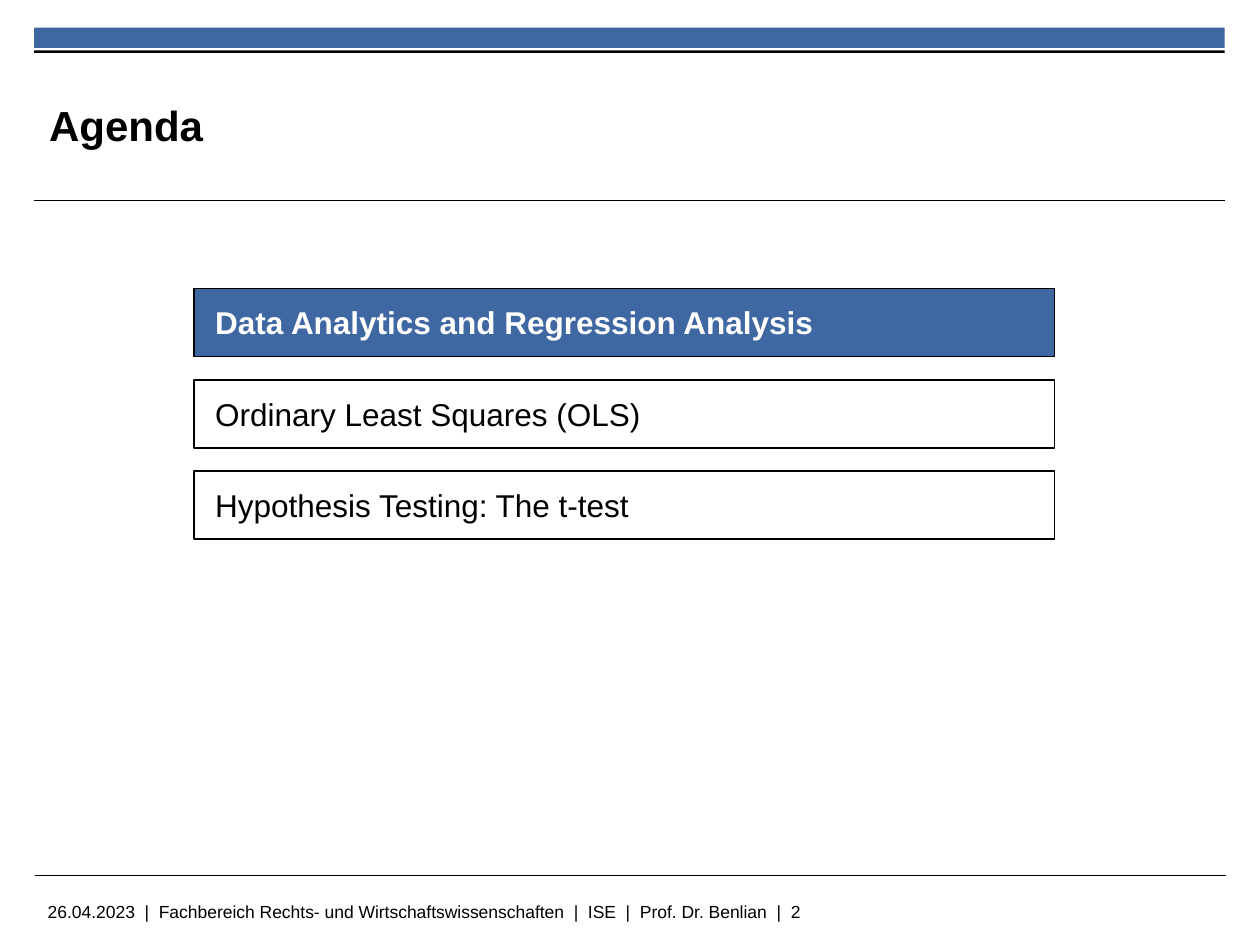
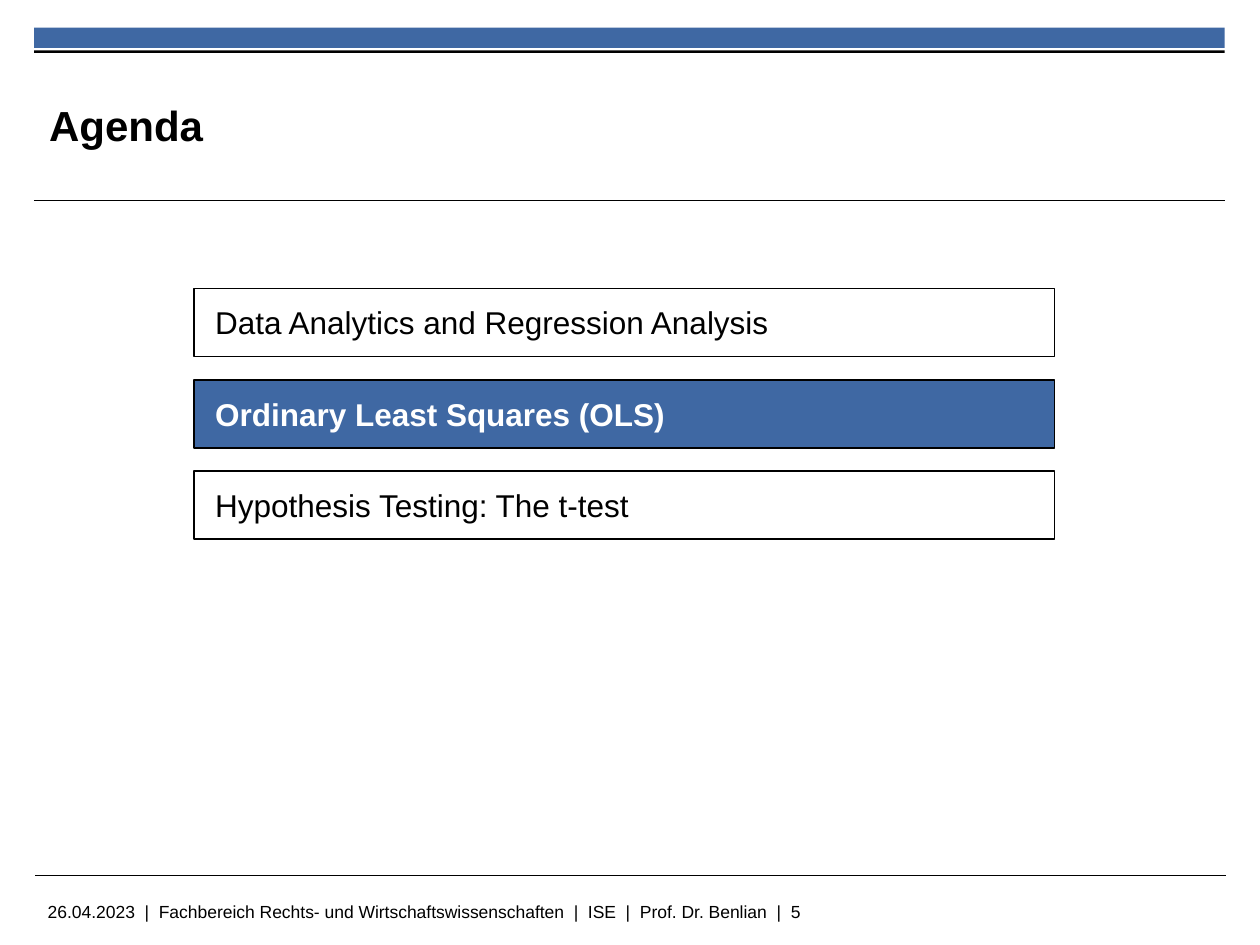
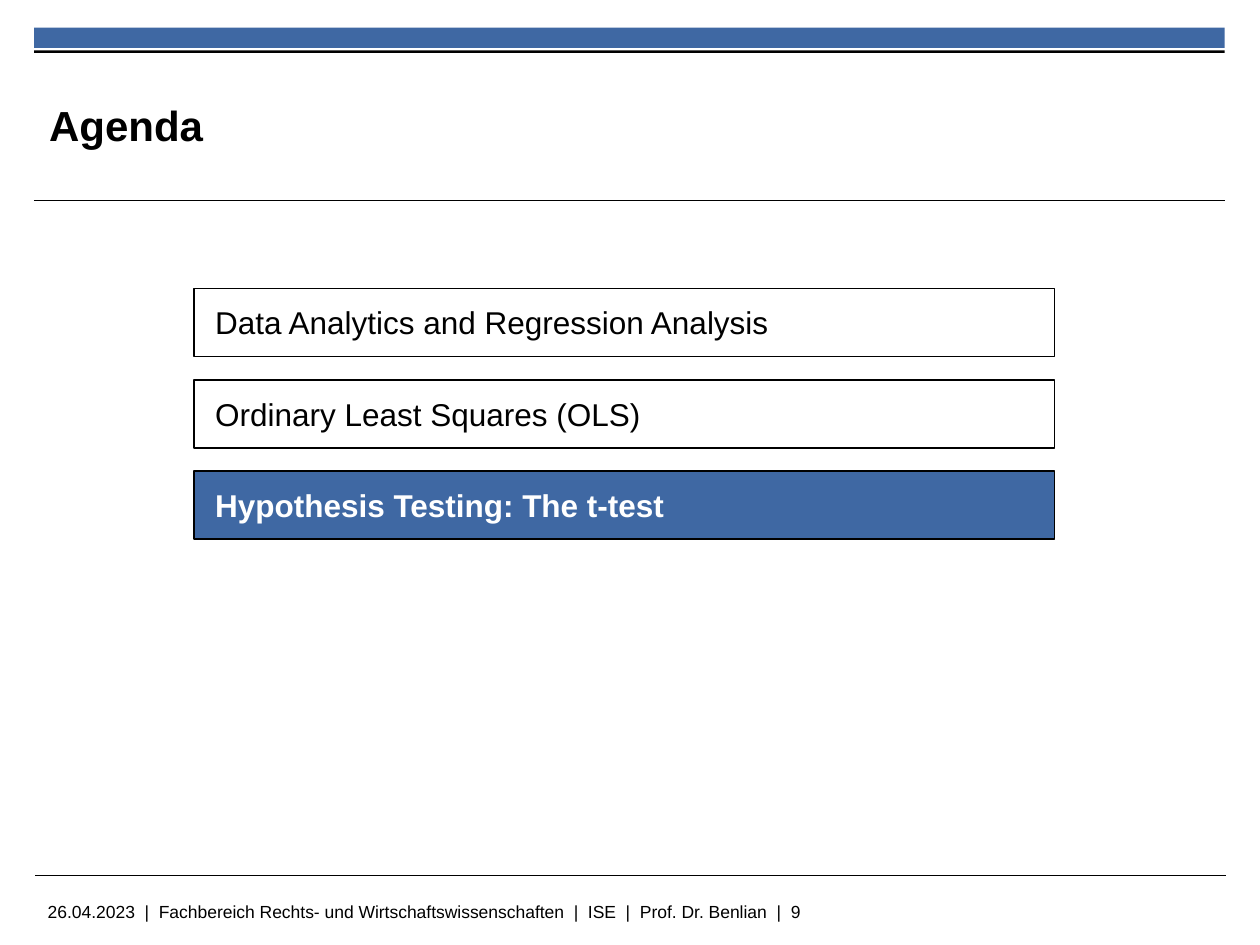
from pptx import Presentation
from pptx.dml.color import RGBColor
from pptx.enum.shapes import MSO_CONNECTOR, MSO_SHAPE
from pptx.enum.text import MSO_ANCHOR, PP_ALIGN
from pptx.oxml.ns import qn
from pptx.util import Inches, Pt
from lxml.etree import SubElement

TITLE = "Agenda"
TOPICS = [
    "Data Analytics and Regression Analysis",
    "Ordinary Least Squares (OLS)",
    "Hypothesis Testing: The t-test",
]
FOOTER_PARTS = [
    "26.04.2023",
    "Fachbereich Rechts- und Wirtschaftswissenschaften",
    "ISE",
    "Prof. Dr. Benlian",
]
PAGE_NUMBERS = [2, 5, 9]  # one agenda page per topic

BLUE = RGBColor(0x3F, 0x68, 0xA3)
BLACK = RGBColor(0, 0, 0)
WHITE = RGBColor(255, 255, 255)
FONT = "Arial"

BAND_LEFT, BAND_WIDTH = 0.27, 9.45
BAR_LEFT, BAR_WIDTH, BAR_HEIGHT = 1.54, 6.83, 0.54
FIRST_BAR_TOP, LAST_BAR_TOP = 2.29, 3.74
BAR_PITCH = (LAST_BAR_TOP - FIRST_BAR_TOP) / (len(TOPICS) - 1)
LABEL_INSET, LABEL_WIDTH = 0.07, 6.54


def add_rect(page, left, top, width, height, fill=None, outlined=False):
    rect = page.shapes.add_shape(MSO_SHAPE.RECTANGLE, Inches(left), Inches(top),
                                 Inches(width), Inches(height))
    rect.shadow.inherit = False
    if fill is None:
        rect.fill.background()
    else:
        rect.fill.solid()
        rect.fill.fore_color.rgb = fill
    if outlined:
        rect.line.color.rgb = BLACK
        rect.line.width = Pt(1)
    else:
        rect.line.fill.background()


def add_rule(page, left, top):
    """Draw a thin horizontal line as wide as the top band."""
    rule = page.shapes.add_connector(MSO_CONNECTOR.STRAIGHT, Inches(left), Inches(top),
                                     Inches(left + BAND_WIDTH), Inches(top))
    rule.line.color.rgb = BLACK
    rule.line.width = Pt(0.6)
    SubElement(rule._element.spPr, qn("a:effectLst"))


def add_text(page, text, left, top, width, height, size, color=BLACK, bold=False):
    box = page.shapes.add_textbox(Inches(left), Inches(top), Inches(width), Inches(height))
    frame = box.text_frame
    frame.word_wrap = True
    para = frame.paragraphs[0]
    para.alignment = PP_ALIGN.LEFT
    span = para.add_run()
    span.text = text
    span.font.name = FONT
    span.font.size = Pt(size)
    span.font.bold = bold
    span.font.color.rgb = color
    return frame


def add_frame(page, number):
    """Add the bands, rules, footer and title that every page shares."""
    add_rect(page, BAND_LEFT, 0.22, BAND_WIDTH, 0.16, BLUE)
    add_rule(page, BAND_LEFT, 1.59)
    add_rect(page, BAND_LEFT, 0.4, BAND_WIDTH, 0.02, BLACK)
    add_rule(page, 0.28, 6.95)
    footer = "  |  ".join([*FOOTER_PARTS, str(number)])
    add_text(page, footer, 0.28, 7.1, 7.88, 0.25, 10)
    title = add_text(page, TITLE, 0.39, 0.53, 7.26, 0.92, 24, bold=True)
    title.vertical_anchor = MSO_ANCHOR.MIDDLE
    title.margin_left = title.margin_right = title.margin_top = title.margin_bottom = 0


def add_agenda(page, current):
    """Stack the topic bars and highlight the current one."""
    for index, topic in enumerate(TOPICS):
        active = index == current
        top = FIRST_BAR_TOP + index * BAR_PITCH
        add_rect(page, BAR_LEFT, top, BAR_WIDTH, BAR_HEIGHT,
                 BLUE if active else None, outlined=True)
        add_text(page, topic, BAR_LEFT + LABEL_INSET, top + LABEL_INSET, LABEL_WIDTH,
                 BAR_HEIGHT - 2 * LABEL_INSET, 18, WHITE if active else BLACK, active)


def main():
    deck = Presentation()
    deck.slide_width, deck.slide_height = Inches(10), Inches(7.5)
    blank = deck.slide_layouts[6]
    for current, number in enumerate(PAGE_NUMBERS):
        page = deck.slides.add_slide(blank)
        add_frame(page, number)
        add_agenda(page, current)
    deck.save("out.pptx")


if __name__ == "__main__":
    main()
